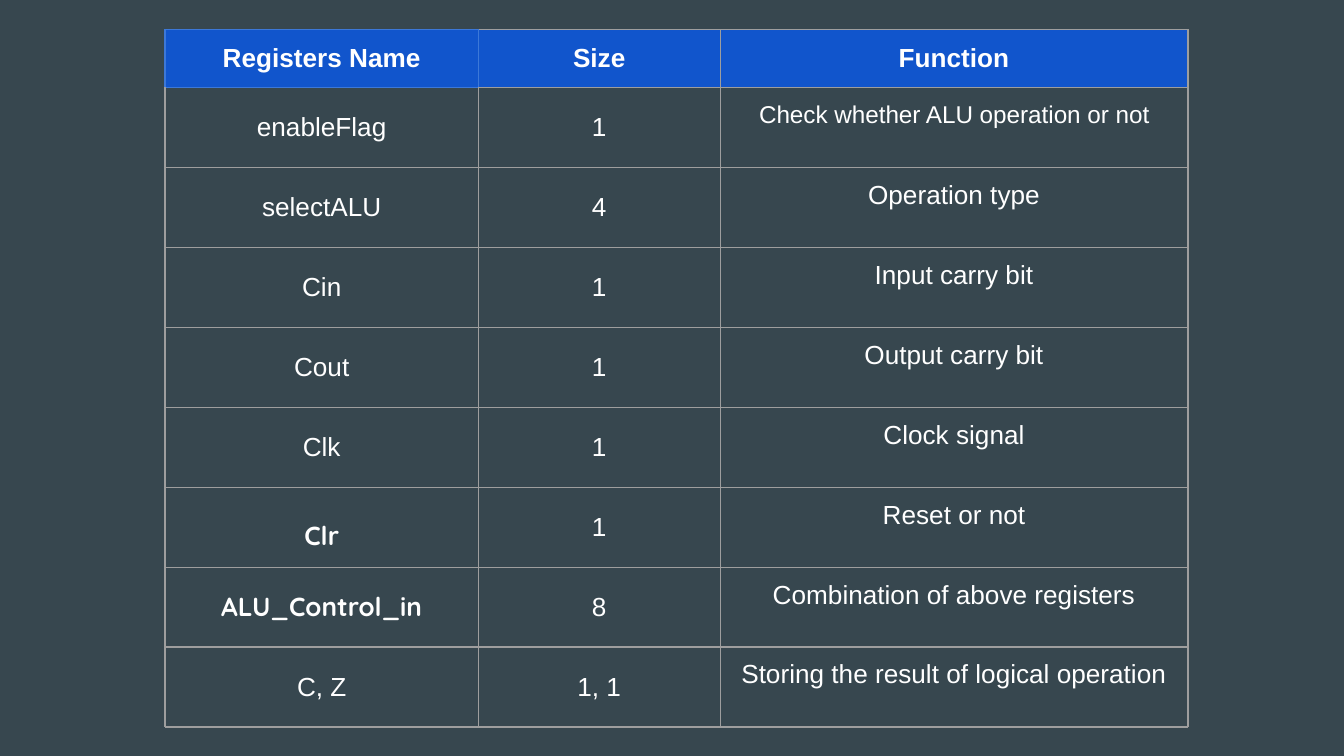
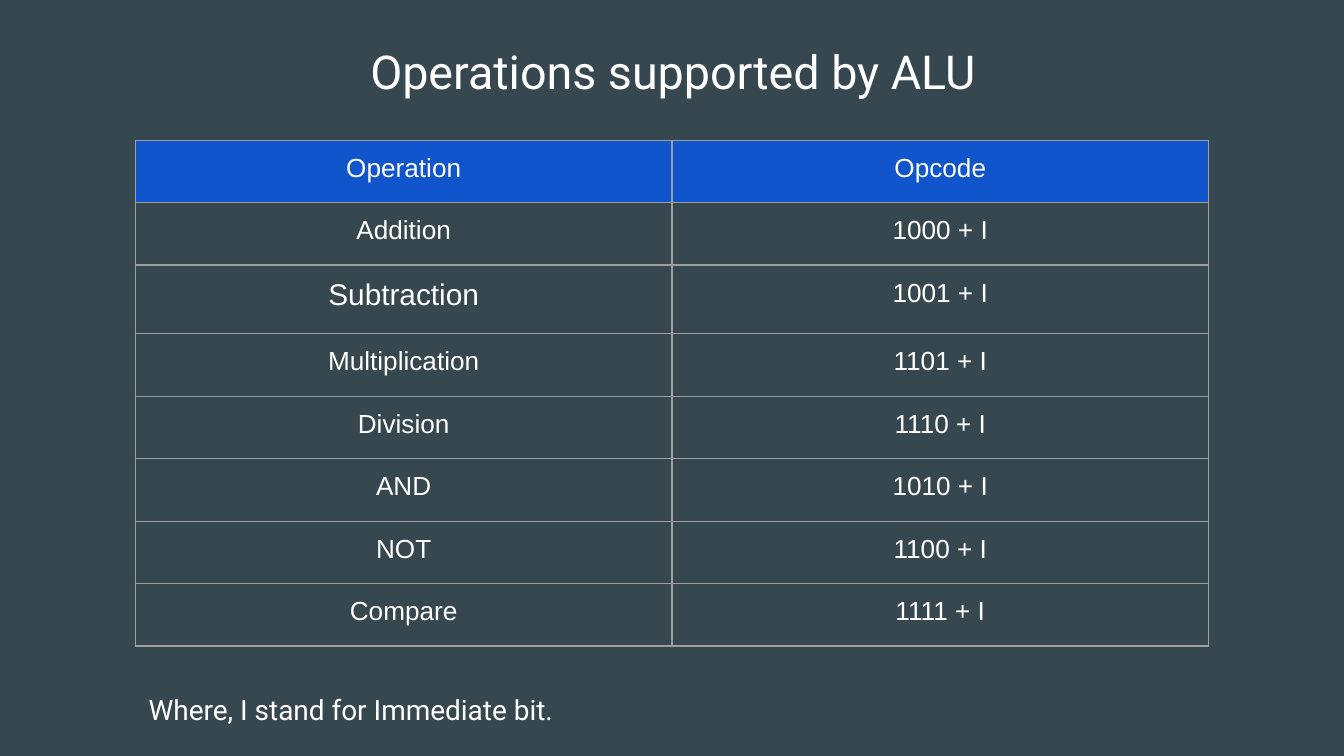
from lxml.etree import SubElement
from pptx import Presentation
from pptx.dml.color import RGBColor
from pptx.enum.text import MSO_ANCHOR, PP_ALIGN
from pptx.oxml.ns import qn
from pptx.util import Cm, Pt

COLORS = {
    "background": "37474F",
    "header": "1155CC",
    "text": "FFFFFF",
    "border": "9E9E9E",
    "accent": "3C78D8",
}
INSET = Cm(0.25)
TITLE_LAYOUT, BLANK_LAYOUT = 5, 6

REGISTERS = [
    ("Registers Name", "Size", "Function"),
    ("enableFlag", "1", "Check whether ALU operation or not"),
    ("selectALU", "4", "Operation type"),
    ("Cin", "1", "Input carry bit"),
    ("Cout", "1", "Output carry bit"),
    ("Clk", "1", "Clock signal"),
    ("Clr", "1", "Reset or not"),
    ("ALU_Control_in", "8", "Combination of above registers"),
    ("C, Z", "1, 1", "Storing the result of logical operation"),
]
OPERATIONS = [
    ("Operation", "Opcode"),
    ("Addition", "1000 + I"),
    ("Subtraction", "1001 + I"),
    ("Multiplication", "1101 + I"),
    ("Division", "1110 + I"),
    ("AND", "1010 + I"),
    ("NOT", "1100 + I"),
    ("Compare", "1111 + I"),
]


def color(name):
    return RGBColor.from_string(COLORS[name])


def style_font(paragraph, size, name="Arial", bold=False):
    font = paragraph.font
    font.size = Pt(size)
    font.name = name
    font.bold = bold
    font.color.rgb = color("text")


def set_insets(target):
    target.margin_left = target.margin_right = INSET
    target.margin_top = target.margin_bottom = INSET


def set_borders(cell, accent_edges=""):
    properties = cell._tc.get_or_add_tcPr()
    for edge in "LRTB":
        line = SubElement(properties, qn(f"a:ln{edge}"), w=str(Pt(0.75)))
        fill = SubElement(line, qn("a:solidFill"))
        name = "accent" if edge in accent_edges else "border"
        SubElement(fill, qn("a:srgbClr"), val=COLORS[name])


def add_grid(slide, box, rows, widths, heights, accents):
    shape = slide.shapes.add_table(len(rows), len(widths), *box)
    table = shape.table
    table.first_row = table.horz_banding = False
    for column, width in zip(table.columns, widths):
        column.width = Cm(width)
    for row_index, (row, height) in enumerate(zip(rows, heights)):
        table.rows[row_index].height = Cm(height)
        for column_index, text in enumerate(row):
            cell = table.cell(row_index, column_index)
            set_insets(cell)
            set_borders(cell, accents.get((row_index, column_index), ""))
            if row_index == 0:
                cell.fill.solid()
                cell.fill.fore_color.rgb = color("header")
            else:
                cell.fill.background()
            cell.text = text
            paragraph = cell.text_frame.paragraphs[0]
            paragraph.alignment = PP_ALIGN.CENTER
            style_font(paragraph, 14)
    return table


def add_title(slide, box, text):
    title = slide.shapes.title
    title.left, title.top, title.width, title.height = box
    frame = title.text_frame
    set_insets(frame)
    frame.vertical_anchor = MSO_ANCHOR.MIDDLE
    frame.text = text
    frame.paragraphs[0].alignment = PP_ALIGN.CENTER
    style_font(frame.paragraphs[0], 25, "Roboto")


def add_note(slide, box, text):
    frame = slide.shapes.add_textbox(*box).text_frame
    frame.word_wrap = True
    set_insets(frame)
    frame.text = text
    style_font(frame.paragraphs[0], 15, "Roboto")


def add_registers_slide(presentation):
    slide = presentation.slides.add_slide(presentation.slide_layouts[BLANK_LAYOUT])
    box = Cm(3.12), Cm(0.56), Cm(19.33), Cm(13.28)
    heights = [1.1] + [1.51] * (len(REGISTERS) - 1)
    accents = {(0, 0): "LRTB", (0, 1): "L", (1, 0): "T"}
    table = add_grid(slide, box, REGISTERS, (5.92, 4.57, 8.84), heights, accents)
    for row_index, (name, _, _) in enumerate(REGISTERS):
        for column_index in range(3):
            cell = table.cell(row_index, column_index)
            if row_index == 0 or column_index < 2:
                cell.vertical_anchor = MSO_ANCHOR.MIDDLE
            if row_index == 0:
                cell.text_frame.paragraphs[0].font.bold = True
        paragraph = table.cell(row_index, 0).text_frame.paragraphs[0]
        if name in ("Clr", "ALU_Control_in"):
            style_font(paragraph, 14, "Quicksand", True)
        if name == "Clr":
            paragraph.line_spacing = 1.5
    style_font(table.cell(1, 2).text_frame.paragraphs[0], 13)


def add_operations_slide(presentation):
    slide = presentation.slides.add_slide(presentation.slide_layouts[TITLE_LAYOUT])
    add_title(slide, (Cm(3.15), Cm(0.43), Cm(19.13), Cm(1.83)), "Operations supported by ALU")
    box = Cm(2.56), Cm(2.65), Cm(20.28), Cm(9.58)
    heights = [1.3 if row[0] == "Subtraction" else 1.18 for row in OPERATIONS]
    table = add_grid(slide, box, OPERATIONS, (10.14, 10.14), heights, {})
    style_font(table.cell(2, 0).text_frame.paragraphs[0], 16)
    add_note(slide, (Cm(2.56), Cm(12.85), Cm(9.75), Cm(0.86)), "Where, I stand for Immediate bit.")


def main():
    presentation = Presentation()
    presentation.slide_width = Cm(25.4)
    presentation.slide_height = Cm(14.29)
    background = presentation.slide_master.background.fill
    background.solid()
    background.fore_color.rgb = color("background")
    add_registers_slide(presentation)
    add_operations_slide(presentation)
    presentation.save("out.pptx")


if __name__ == "__main__":
    main()
